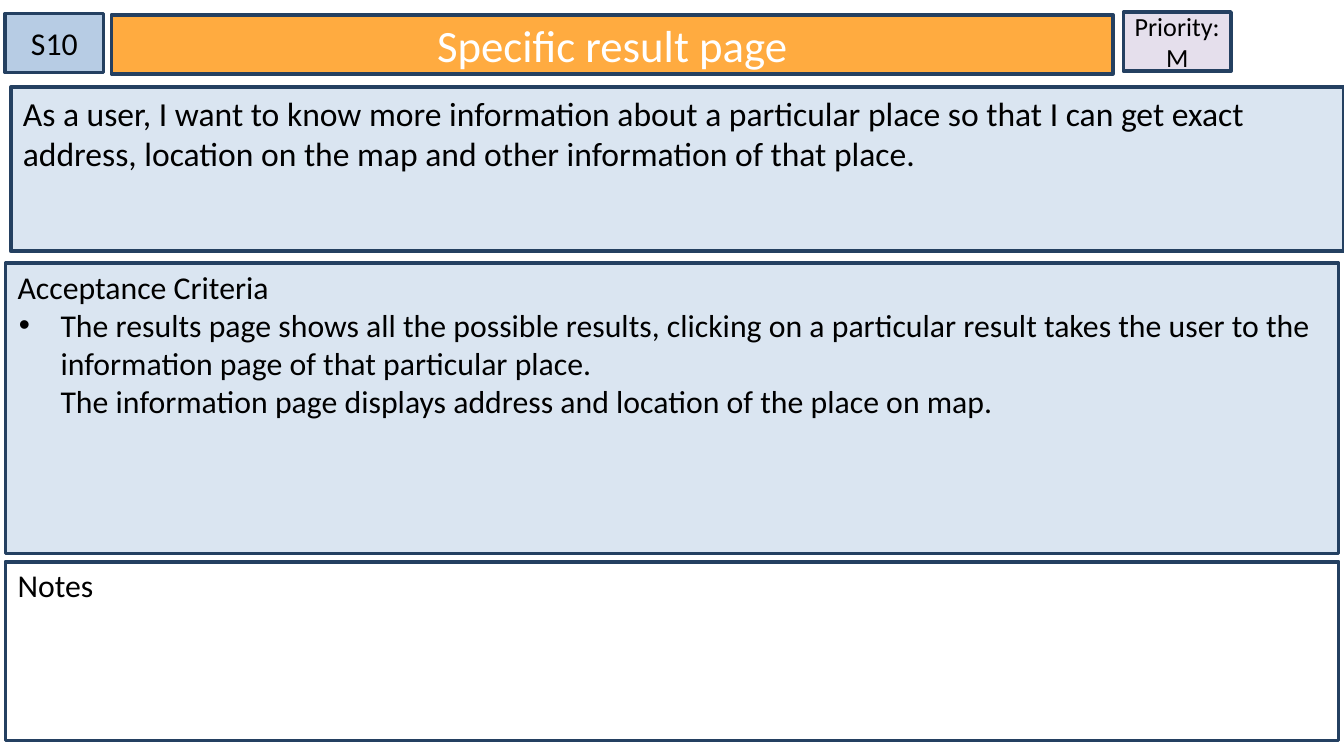
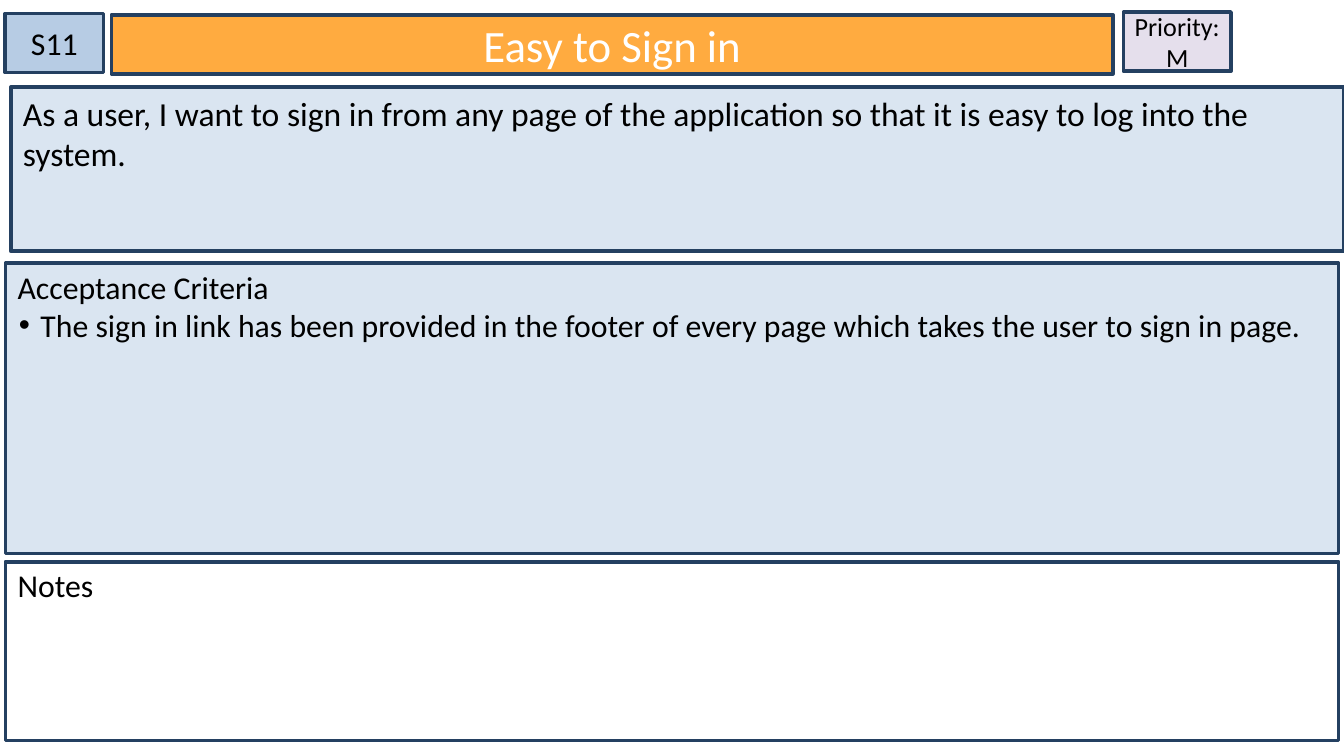
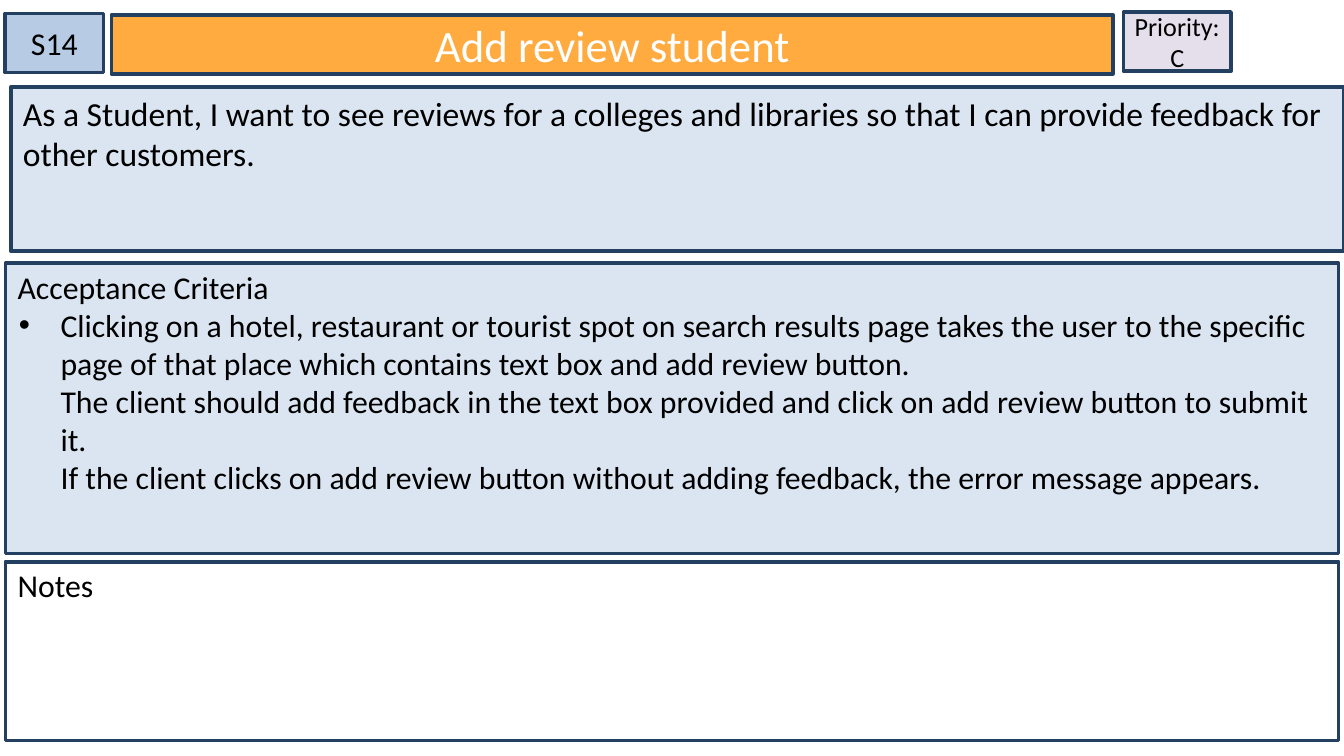
from dataclasses import dataclass

from lxml import etree
from pptx import Presentation
from pptx.dml.color import RGBColor
from pptx.enum.shapes import MSO_SHAPE
from pptx.enum.text import MSO_ANCHOR, MSO_AUTO_SIZE, PP_ALIGN
from pptx.oxml.ns import qn
from pptx.util import Inches, Pt

RECTANGLE = MSO_SHAPE.RECTANGLE
TOP, MIDDLE = MSO_ANCHOR.TOP, MSO_ANCHOR.MIDDLE
LEFT, CENTER = PP_ALIGN.LEFT, PP_ALIGN.CENTER
NO_AUTOFIT = MSO_AUTO_SIZE.NONE
TITLE_ONLY = 5

FONT = "Calibri"
BLACK, WHITE = "000000", "FFFFFF"
NAVY, ORANGE = "244061", "FFAB40"
LILAC, BLUE, PALE_BLUE = "E5DFEC", "B7CCE4", "DAE5F1"


@dataclass(frozen=True)
class BoxStyle:
    left: float
    top: float
    width: float
    height: float
    fill: str
    size: int
    color: str = BLACK
    align: PP_ALIGN = LEFT
    anchor: MSO_ANCHOR = TOP
    side_inset: float = 0.09
    top_inset: float = 0.04


@dataclass(frozen=True)
class Story:
    code: str
    title: str
    priority: str
    summary: str
    criteria: str
    indent: float = 0.32


# Boxes shared by every story card
TITLE = BoxStyle(0.83, 0.11, 7.45, 0.44, ORANGE, 24, WHITE, CENTER, MIDDLE)
PRIORITY = BoxStyle(8.36, 0.09, 0.8, 0.44, LILAC, 14, BLACK, CENTER, MIDDLE, 0)
CODE = BoxStyle(0.04, 0.1, 0.73, 0.44, BLUE, 17, BLACK, CENTER, MIDDLE, 0)
SUMMARY = BoxStyle(0.08, 0.65, 9.92, 1.22, PALE_BLUE, 18)
CRITERIA = BoxStyle(0.04, 1.96, 9.92, 2.16, PALE_BLUE, 17, top_inset=0.03)
NOTES = BoxStyle(0.04, 4.18, 9.92, 1.33, WHITE, 17, top_inset=0.03)

STORIES = [
    Story(
        "S10", "Specific result page", "M",
        "As a user, I want to know more information about a particular place so that "
        "I can get exact address, location on the map and other information of that place.",
        "The results page shows all the possible results, clicking on a particular result "
        "takes the user to the information page of that particular place.\n"
        "The information page displays address and location of the place on map.",
    ),
    Story(
        "S11", "Easy to Sign in", "M",
        "As a user, I want to sign in from any page of the application so that it is easy "
        "to log into the system.",
        "The sign in link has been provided in the footer of every page which takes the "
        "user to sign in page.",
        indent=0.17,
    ),
    Story(
        "S14", "Add review student", "C",
        "As a Student, I want to see reviews for a colleges and libraries so that I can "
        "provide feedback for other customers.",
        "Clicking on a hotel, restaurant or tourist spot on search results page takes the "
        "user to the specific page of that place which contains text box and add review "
        "button.\n"
        "The client should add feedback in the text box provided and click on add review "
        "button to submit it.\n"
        "If the client clicks on add review button without adding feedback, the error "
        "message appears.",
    ),
]


def rgb(value: str) -> RGBColor:
    return RGBColor.from_string(value)


def add_bullet(para, indent: float) -> None:
    """Give the paragraph a round bullet with a hanging indent."""
    properties = para._p.get_or_add_pPr()
    properties.set("marL", str(Inches(indent)))
    properties.set("indent", str(-Inches(indent - 0.01)))
    color = etree.SubElement(properties, qn("a:buClr"))
    etree.SubElement(color, qn("a:srgbClr"), val=BLACK)
    etree.SubElement(properties, qn("a:buFont"), typeface="Arial")
    etree.SubElement(properties, qn("a:buChar"), char="•")


def format_box(box, style: BoxStyle, lines: list[str], bullet_indent: float = 0) -> None:
    """Place and fill a box; lines after the first are bulleted if an indent is given."""
    box.left, box.top = Inches(style.left), Inches(style.top)
    box.width, box.height = Inches(style.width), Inches(style.height)
    box.fill.solid()
    box.fill.fore_color.rgb = rgb(style.fill)
    box.line.color.rgb = rgb(NAVY)
    box.line.width = Pt(2)

    frame = box.text_frame
    frame.word_wrap = True
    frame.auto_size = NO_AUTOFIT
    frame.vertical_anchor = style.anchor
    frame.margin_left = frame.margin_right = Inches(style.side_inset)
    frame.margin_top, frame.margin_bottom = Inches(style.top_inset), Inches(0.04)

    for index, line in enumerate(lines):
        para = frame.add_paragraph() if index else frame.paragraphs[0]
        para.text = line
        para.alignment = style.align
        if index and bullet_indent:
            add_bullet(para, bullet_indent)
        para.font.name = FONT
        para.font.size = Pt(style.size)
        para.font.color.rgb = rgb(style.color)


def add_box(page, style: BoxStyle, lines: list[str], bullet_indent: float = 0) -> None:
    box = page.shapes.add_shape(RECTANGLE, 0, 0, 0, 0)
    box.shadow.inherit = False
    format_box(box, style, lines, bullet_indent)


def add_story(deck, story: Story) -> None:
    page = deck.slides.add_slide(deck.slide_layouts[TITLE_ONLY])
    # Header row
    format_box(page.shapes.title, TITLE, [story.title])
    add_box(page, PRIORITY, ["Priority:", story.priority])
    add_box(page, CODE, [story.code])
    # Body
    add_box(page, SUMMARY, [story.summary])
    add_box(page, CRITERIA, ["Acceptance Criteria", story.criteria], story.indent)
    add_box(page, NOTES, ["Notes"])


def main() -> None:
    deck = Presentation()
    # Widescreen, 16 to 9
    deck.slide_width = Inches(10)
    deck.slide_height = deck.slide_width * 9 // 16
    for story in STORIES:
        add_story(deck, story)
    deck.save("out.pptx")


if __name__ == "__main__":
    main()
